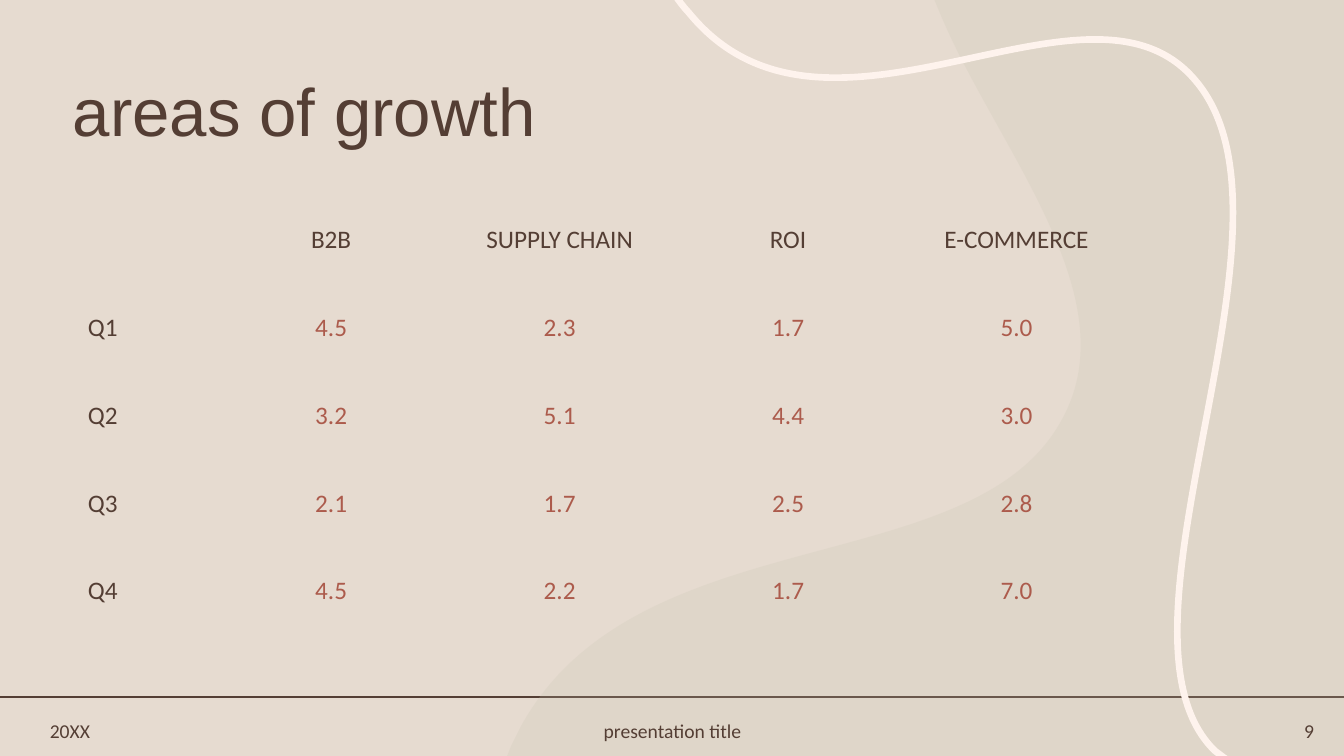
from lxml.etree import SubElement
from pptx import Presentation
from pptx.dml.color import RGBColor
from pptx.enum.shapes import MSO_CONNECTOR
from pptx.enum.text import MSO_ANCHOR as ANCHOR, PP_ALIGN as ALIGN
from pptx.oxml.ns import qn
from pptx.util import Pt

PX = 9525  # 96 px to the inch
WIDTH, HEIGHT = 1280, 720
BROWN, RUST, CREAM = "543E34", "AC5B4C", "FEF3ED"
SAND, SAGE = "E6DBD0", "C6C4AF"
NO_STYLE = "{2D5ABB26-0587-4C30-8999-92F81FD0307C}"

GROWTH = [
    ["", "B2B", "SUPPLY CHAIN", "ROI", "E-COMMERCE"],
    ["Q1", "4.5", "2.3", "1.7", "5.0"],
    ["Q2", "3.2", "5.1", "4.4", "3.0"],
    ["Q3", "2.1", "1.7", "2.5", "2.8"],
    ["Q4", "4.5", "2.2", "1.7", "7.0"],
]

# Each step holds one point (straight) or three points (cubic curve).
HILL = [
    [(890, 0)], [(1280, 0)], [(1280, 720)], [(483, 720)], [(487, 710)],
    [(491, 702), (494, 696), (496, 692)],
    [(606, 492), (924, 555), (1010, 402)],
    [(1078, 284), (948, 140), (895, 12)],
]
RIBBON = [
    [(1168, 723)], [(1165, 721)], [(1157, 715)],
    [(1041, 602), (1255, 211), (1138, 76)],
    [(1035, -45), (787, 173), (656, 12)],
    [(653, 9), (649, 4), (644, -3)],
]
RIBBON_WIDTH = 530


def px(length):
    return round(length * PX)


def rgb(color):
    return RGBColor.from_string(color)


def add_outline(slide, left, top, width, steps, close):
    """Draw the steps; width is that of the outline with its bulges."""
    ends = [step[-1] for step in steps]
    builder = slide.shapes.build_freeform(*ends[0], scale=PX)
    builder.add_line_segments(ends[1:], close=close)
    outline = builder.convert_to_shape(px(left), px(top))
    outline.shadow.inherit = False
    outline.width = px(width)

    trace = outline._element.spPr.find(".//" + qn("a:path"))
    trace.set("w", str(width))
    min_x, min_y = (min(axis) for axis in zip(*ends))
    for line, step in zip(trace.findall(qn("a:lnTo")), steps[1:]):
        if len(step) == 3:
            curve = SubElement(trace, qn("a:cubicBezTo"))
            for x, y in step:
                SubElement(curve, qn("a:pt"),
                           x=str(x - min_x), y=str(y - min_y))
            trace.replace(line, curve)
    return outline


def add_backdrop(slide, left, top, width, height):
    background = slide.background.fill
    background.solid()
    background.fore_color.rgb = rgb(SAND)

    rule_y = px(top + height - 56)
    rule = slide.shapes.add_connector(
        MSO_CONNECTOR.STRAIGHT, px(left), rule_y, px(left + width), rule_y)
    rule.line.color.rgb = rgb(BROWN)
    rule.line.width = Pt(1.25)
    SubElement(rule._element.spPr, qn("a:effectLst"))

    hill = add_outline(slide, left, top, width - 483, HILL, True)
    hill.line.fill.background()
    hill.fill.solid()
    hill.fill.fore_color.rgb = rgb(SAGE)
    tint = hill._element.spPr.find(".//" + qn("a:srgbClr"))
    SubElement(tint, qn("a:alpha"), val="20000")

    ribbon = add_outline(slide, left, top, RIBBON_WIDTH, RIBBON, False)
    ribbon.fill.background()
    ribbon.line.color.rgb = rgb(CREAM)
    ribbon.line.width = Pt(4.75)


def style(paragraph, size, font="Calibri", color=BROWN, align=ALIGN.LEFT):
    paragraph.alignment = align
    paragraph.font.size = Pt(size)
    paragraph.font.name = font
    paragraph.font.color.rgb = rgb(color)


def add_text(slide, left, top, width, height, text, size, **look):
    frame = slide.shapes.add_textbox(
        px(left), px(top), px(width), px(height)).text_frame
    frame.word_wrap = True
    frame.vertical_anchor = ANCHOR.MIDDLE
    frame.text = text
    paragraph = frame.paragraphs[0]
    style(paragraph, size, **look)
    return paragraph


def add_title(slide, left, top, width, height):
    title = add_text(slide, left, top, width, height,
                     "areas of growth", 48, font="Arial")
    title.line_spacing = 0.9


def add_growth_table(slide, left, top, width, height):
    rows, columns = len(GROWTH), len(GROWTH[0])
    table = slide.shapes.add_table(
        rows, columns, px(left), px(top), px(width), px(height)).table
    table.first_row = table.horz_banding = False
    table._tbl.tblPr.find(qn("a:tableStyleId")).text = NO_STYLE
    for column in table.columns:
        column.width = px(width / columns)
    for r, values in enumerate(GROWTH):
        table.rows[r].height = px(height / rows)
        for c, value in enumerate(values):
            cell = table.cell(r, c)
            cell.fill.background()
            cell.vertical_anchor = ANCHOR.MIDDLE
            cell.text = value
            style(cell.text_frame.paragraphs[0], 18,
                  color=RUST if r and c else BROWN, align=ALIGN.CENTER)


def add_footer(slide, left, top, width, height):
    side, middle = 104, 361
    add_text(slide, left, top, side, height, "20XX", 14)
    add_text(slide, left + 422, top, middle, height,
             "presentation title", 14, align=ALIGN.CENTER)
    add_text(slide, left + width - side, top, side, height,
             "9", 14, align=ALIGN.RIGHT)


def main():
    deck = Presentation()
    deck.slide_width, deck.slide_height = px(WIDTH), px(HEIGHT)
    slide = deck.slides.add_slide(deck.slide_layouts[6])
    add_backdrop(slide, 0, 0, WIDTH, HEIGHT)
    add_title(slide, 60, 74, 1104, 71)
    add_growth_table(slide, -11, 187, 1088, 418)
    add_footer(slide, 38, 679, 1223, 33)
    deck.save("out.pptx")


if __name__ == "__main__":
    main()
